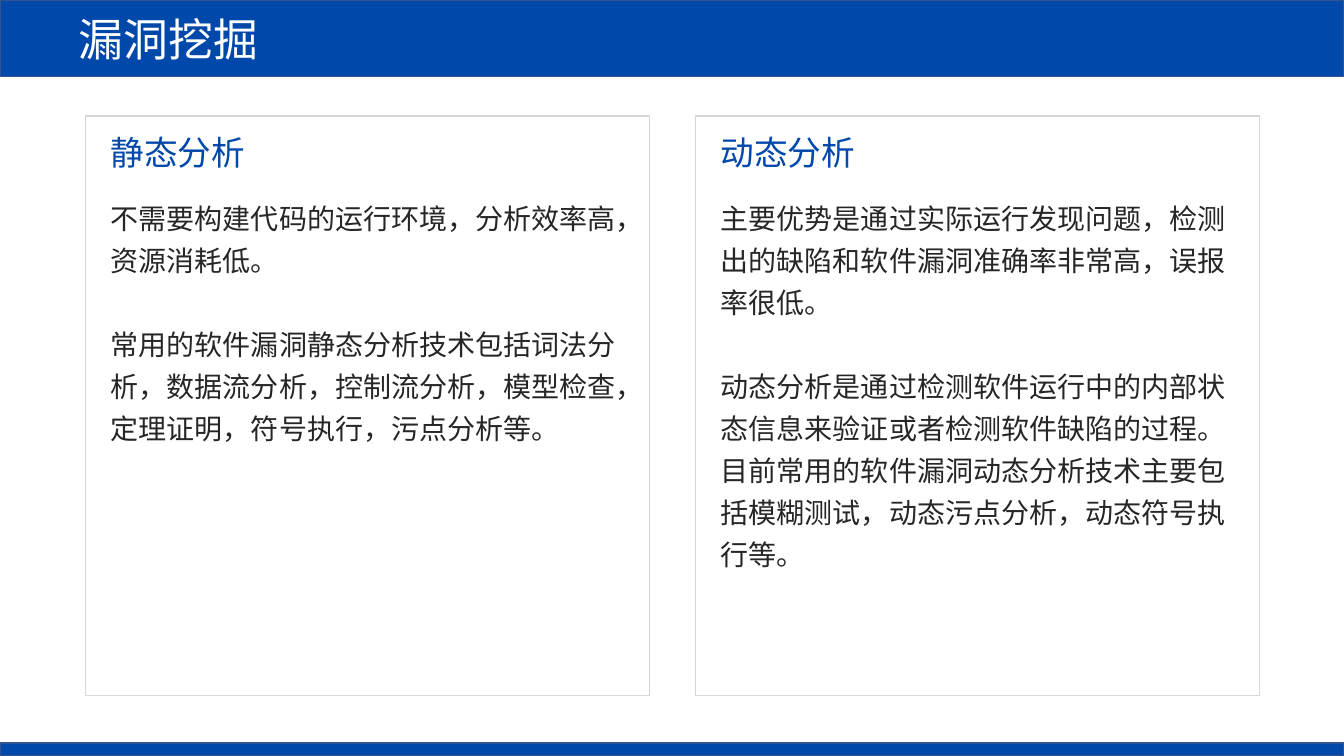
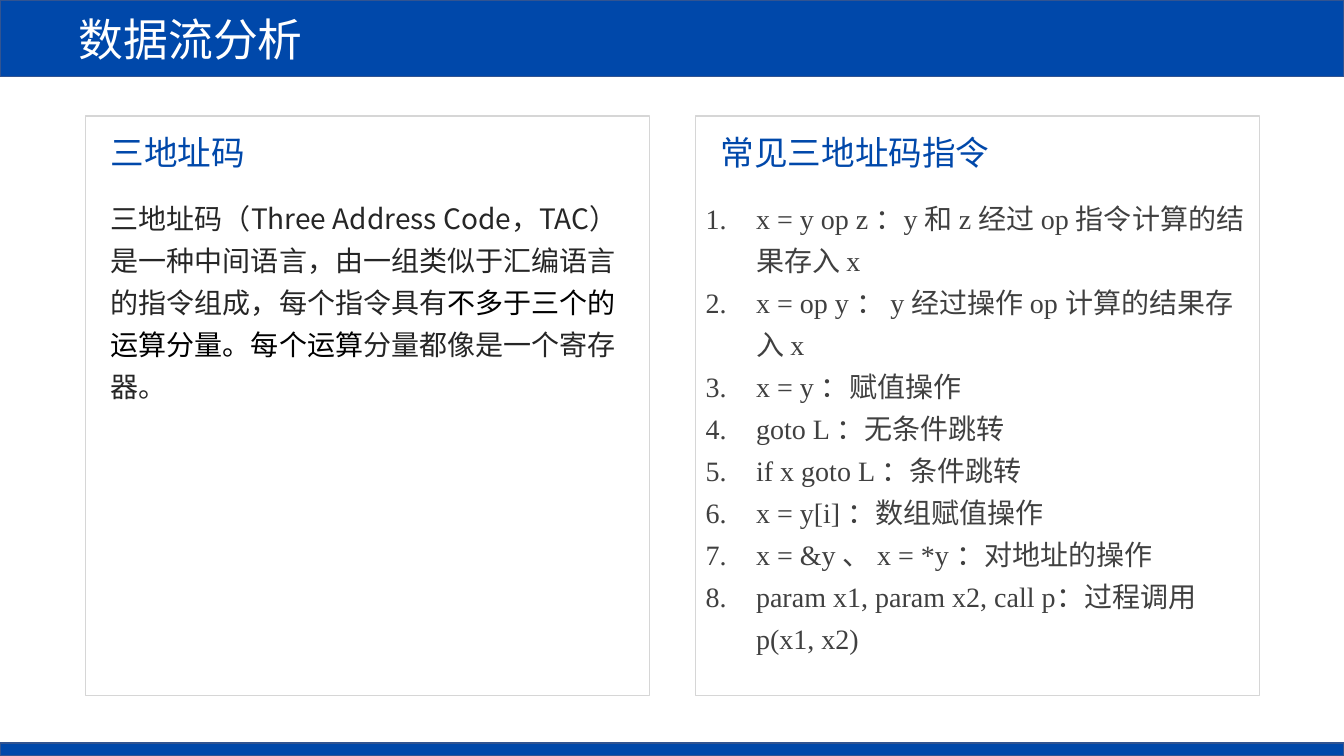
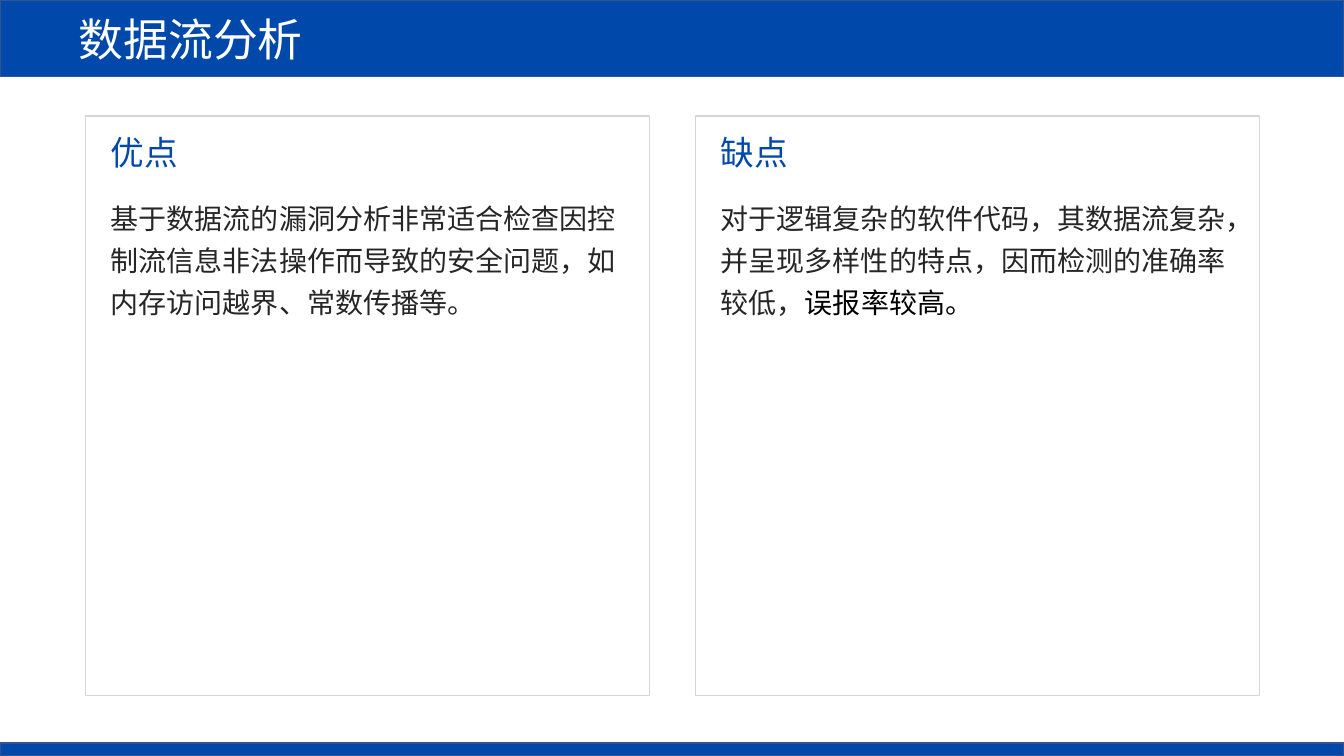
from lxml import etree
from pptx import Presentation
from pptx.dml.color import RGBColor
from pptx.enum.lang import MSO_LANGUAGE_ID
from pptx.enum.shapes import MSO_SHAPE
from pptx.enum.text import MSO_ANCHOR, MSO_AUTO_SIZE, PP_ALIGN
from pptx.oxml.ns import qn
from pptx.util import Inches, Pt

BLUE, BAND_EDGE, PANEL_EDGE = "0048AA", "325491", "D6D6D6"
WHITE, BLACK, DARK, GREY = "FFFFFF", "000000", "262626", "404040"
SANS, SERIF = "Noto Sans CJK SC", "Times New Roman"

SLIDE_WIDTH, SLIDE_HEIGHT = 13.33, 7.5
TITLE_HEIGHT, FOOTER_HEIGHT = 0.76, 0.13
PANEL_LEFTS = (0.85, 6.9)
PANEL_TOP, PANEL_WIDTH, PANEL_HEIGHT = 1.15, 5.59, 5.75
PADDING = 0.15
HEADING_TOP, BODY_TOP = 1.26, 1.87

SLIDES = [
    {
        "title": "漏洞挖掘",
        "panels": [
            {
                "heading": "静态分析",
                "paragraphs": [
                    [("不需要构建代码的运行环境，分析效率高，资源消耗低。", DARK)],
                    [("常用的软件漏洞静态分析技术包括词法分析，数据流分析，控制流分析，"
                      "模型检查，定理证明，符号执行，污点分析等。", DARK)],
                ],
            },
            {
                "heading": "动态分析",
                "paragraphs": [
                    [("主要优势是通过实际运行发现问题，检测出的缺陷和软件漏洞准确率非常高，"
                      "误报率很低。", DARK)],
                    [("动态分析是通过检测软件运行中的内部状态信息来验证或者检测软件缺陷的过程。"
                      "目前常用的软件漏洞动态分析技术主要包括模糊测试，动态污点分析，"
                      "动态符号执行等。", DARK)],
                ],
            },
        ],
    },
    {
        "title": "数据流分析",
        "panels": [
            {
                "heading": "三地址码",
                "paragraphs": [
                    [("三地址码（Three Address Code，TAC）是一种中间语言，"
                      "由一组类似于汇编语言的指令组成，每个指令具有", DARK),
                     ("不多于三个的运算分量。每个运算", BLACK),
                     ("分量都像是一个寄存器。", DARK)],
                ],
            },
            {
                "heading": "常见三地址码指令",
                "numbered": [
                    "x = y op z ：y 和 z 经过 op 指令计算的结果存入 x",
                    "x = op y ： y 经过操作 op 计算的结果存入 x",
                    "x = y ：赋值操作",
                    "goto L ：无条件跳转",
                    "if x goto L ：条件跳转",
                    "x = y[i] ：数组赋值操作",
                    "x = &y 、 x = *y ：对地址的操作",
                    "param x1, param x2, call p：过程调用 p(x1, x2)",
                ],
            },
        ],
    },
    {
        "title": "数据流分析",
        "panels": [
            {
                "heading": "优点",
                "paragraphs": [
                    [("基于数据流的漏洞分析非常适合检查因控制流信息非法操作而导致的安全问题，"
                      "如内存访问越界、常数传播等。", DARK)],
                ],
            },
            {
                "heading": "缺点",
                "paragraphs": [
                    [("对于逻辑复杂的软件代码，其数据流复杂，并呈现多样性的特点，"
                      "因而检测的准确率较低，", DARK),
                     ("误报率较高。", BLACK)],
                ],
            },
        ],
    },
]


def color(hex_string):
    return RGBColor.from_string(hex_string)


def add_run(paragraph, text, size, hex_string, font_name=SANS):
    run = paragraph.add_run()
    run.text = text
    font = run.font
    font.size = Pt(size)
    font.bold = False
    font.color.rgb = color(hex_string)
    font.name = font_name
    font.language_id = MSO_LANGUAGE_ID.SIMPLIFIED_CHINESE
    latin = font._element.find(qn("a:latin"))
    east_asian = etree.Element(qn("a:ea"), typeface=SANS)
    latin.addnext(east_asian)


def paint(shape, line, fill=None):
    if fill:
        shape.fill.solid()
        shape.fill.fore_color.rgb = color(fill)
    else:
        shape.fill.background()
    shape.line.color.rgb = color(line)
    shape.line.width = Pt(1)


def add_rectangle(slide, left, top, width, height, line, fill=None):
    shape = slide.shapes.add_shape(
        MSO_SHAPE.RECTANGLE, Inches(left), Inches(top), Inches(width), Inches(height))
    shape.shadow.inherit = False
    paint(shape, line, fill)


def add_text_frame(slide, left, top, width, height, wrap):
    box = slide.shapes.add_textbox(Inches(left), Inches(top), Inches(width), Inches(height))
    frame = box.text_frame
    frame.word_wrap = wrap
    frame.auto_size = MSO_AUTO_SIZE.SHAPE_TO_FIT_TEXT
    return frame


def add_title(slide, text):
    title = slide.shapes.title
    title.left = title.top = 0
    title.width, title.height = Inches(SLIDE_WIDTH), Inches(TITLE_HEIGHT)
    paint(title, BAND_EDGE, BLUE)
    frame = title.text_frame
    frame.margin_left = Inches(0.78)
    frame.vertical_anchor = MSO_ANCHOR.MIDDLE
    frame.auto_size = MSO_AUTO_SIZE.NONE
    paragraph = frame.paragraphs[0]
    paragraph.alignment = PP_ALIGN.LEFT
    add_run(paragraph, text, 32, WHITE)


def number_paragraph(paragraph):
    properties = paragraph._p.get_or_add_pPr()
    properties.set("marL", str(Inches(0.5)))
    properties.set("indent", str(-Inches(0.5)))
    etree.SubElement(properties, qn("a:buAutoNum"), type="arabicPeriod")


def add_body(frame, paragraphs, font_name=SANS, gap=0, numbered=False):
    for index, runs in enumerate(paragraphs):
        paragraph = frame.add_paragraph() if index else frame.paragraphs[0]
        if numbered:
            number_paragraph(paragraph)
        paragraph.line_spacing = 1.25
        if index and gap:
            paragraph.space_before = Pt(gap)
        for text, hex_string in runs:
            add_run(paragraph, text, 20, hex_string, font_name)


def add_panel(slide, left, panel):
    add_rectangle(slide, left, PANEL_TOP, PANEL_WIDTH, PANEL_HEIGHT, PANEL_EDGE)
    heading = panel["heading"]
    heading_width = len(heading) / 3 + 0.2
    frame = add_text_frame(slide, left + PADDING, HEADING_TOP, heading_width, 0.5, False)
    add_run(frame.paragraphs[0], heading, 24, BLUE)
    if "numbered" in panel:
        frame = add_text_frame(slide, left, BODY_TOP, PANEL_WIDTH, 4.69, True)
        items = [[(text, GREY)] for text in panel["numbered"]]
        add_body(frame, items, SERIF, numbered=True)
    else:
        body_width = PANEL_WIDTH - 2 * PADDING
        frame = add_text_frame(slide, left + PADDING, BODY_TOP, body_width, 2.59, True)
        add_body(frame, panel["paragraphs"], gap=30)


def main():
    presentation = Presentation()
    presentation.slide_width = Inches(SLIDE_WIDTH)
    presentation.slide_height = Inches(SLIDE_HEIGHT)
    title_only = presentation.slide_layouts[5]
    for content in SLIDES:
        slide = presentation.slides.add_slide(title_only)
        add_title(slide, content["title"])
        add_rectangle(slide, 0, SLIDE_HEIGHT - FOOTER_HEIGHT, SLIDE_WIDTH, FOOTER_HEIGHT,
                      BAND_EDGE, BLUE)
        for left, panel in zip(PANEL_LEFTS, content["panels"]):
            add_panel(slide, left, panel)
    presentation.save("out.pptx")


if __name__ == "__main__":
    main()
